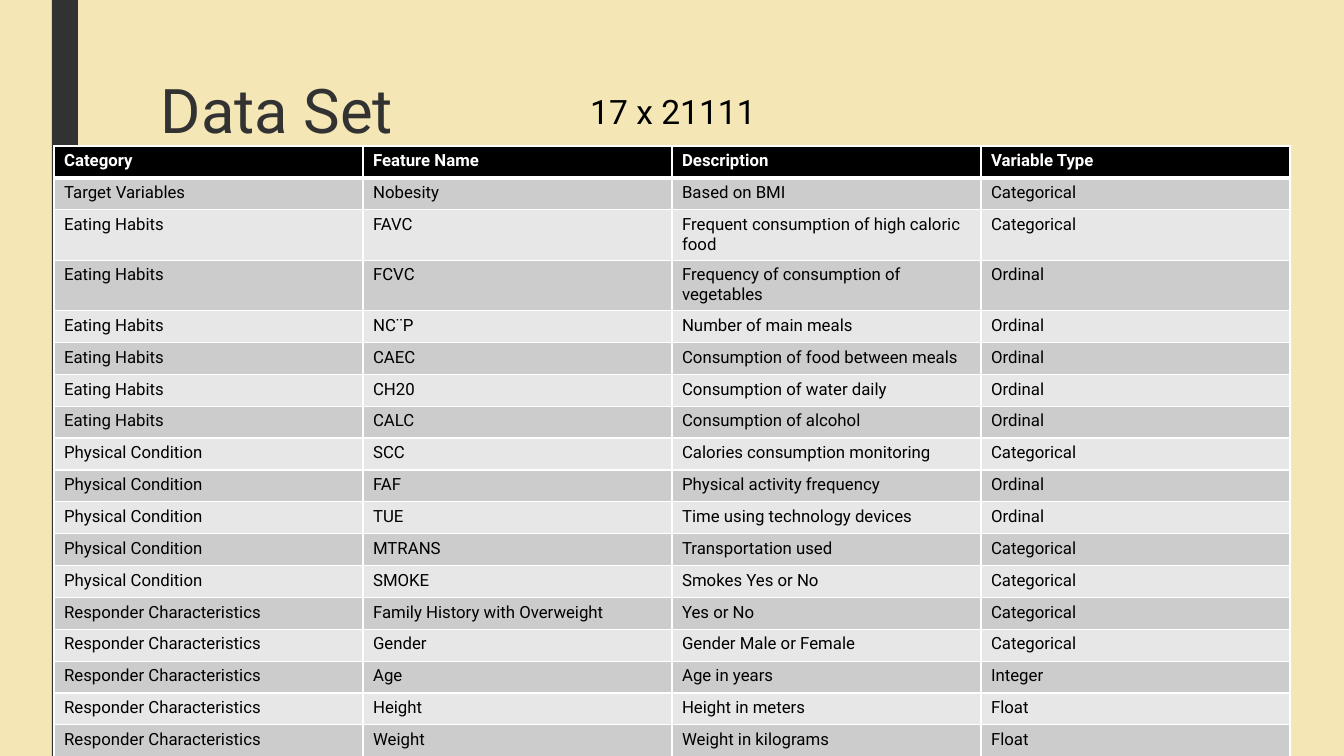
from lxml import etree
from pptx import Presentation
from pptx.dml.color import RGBColor
from pptx.enum.shapes import MSO_SHAPE
from pptx.enum.text import MSO_ANCHOR, PP_ALIGN
from pptx.oxml.ns import qn
from pptx.util import Pt

RECT = MSO_SHAPE.RECTANGLE
TOP = MSO_ANCHOR.TOP
LEFT, CENTER = PP_ALIGN.LEFT, PP_ALIGN.CENTER

SAND = RGBColor(0xF5, 0xE7, 0xB5)
CHARCOAL = RGBColor(0x32, 0x32, 0x32)
BLACK = RGBColor(0x00, 0x00, 0x00)
WHITE = RGBColor(0xFF, 0xFF, 0xFF)
BANDS = (RGBColor(0xCC, 0xCC, 0xCC), RGBColor(0xE7, 0xE7, 0xE7))

FONT = "Roboto"
SLIDE_W, SLIDE_H = 1344, 756
EMU_PER_INCH, PX_PER_INCH = 914400, 100.8
WRAPPED_ROW_H = 50

HEADER = ("Category", "Feature Name", "Description", "Variable Type")
FEATURES = {
    "Target Variables": [
        ("Nobesity", "Based on BMI", "Categorical"),
    ],
    "Eating Habits": [
        ("FAVC", "Frequent consumption of high caloric food", "Categorical"),
        ("FCVC", "Frequency of consumption of vegetables", "Ordinal"),
        ("NC¨P", "Number of main meals", "Ordinal"),
        ("CAEC", "Consumption of food between meals", "Ordinal"),
        ("CH20", "Consumption of water daily", "Ordinal"),
        ("CALC", "Consumption of alcohol", "Ordinal"),
    ],
    "Physical Condition": [
        ("SCC", "Calories consumption monitoring", "Categorical"),
        ("FAF", "Physical activity frequency", "Ordinal"),
        ("TUE", "Time using technology devices", "Ordinal"),
        ("MTRANS", "Transportation used", "Categorical"),
        ("SMOKE", "Smokes Yes or No", "Categorical"),
    ],
    "Responder Characteristics": [
        ("Family History with Overweight", "Yes or No", "Categorical"),
        ("Gender", "Gender Male or Female", "Categorical"),
        ("Age", "Age in years", "Integer"),
        ("Height", "Height in meters", "Float"),
        ("Weight", "Weight in kilograms", "Float"),
    ],
}
WRAPPED_FEATURES = ("FAVC", "FCVC")


def px(length):
    """Turn pixels into EMU."""
    return round(length * EMU_PER_INCH / PX_PER_INCH)


def write_text(tf, text, size=12, color=BLACK, bold=False, align=LEFT, spacing=None):
    """Write one formatted paragraph into a text frame."""
    tf.word_wrap = True
    p = tf.paragraphs[0]
    p.alignment = align
    if spacing:
        p.line_spacing = spacing
    r = p.add_run()
    r.text = text
    r.font.name = FONT
    r.font.size = Pt(size)
    r.font.bold = bold
    r.font.color.rgb = color


def add_text(slide, box, text, **fmt):
    """Add a top-anchored text box."""
    tf = slide.shapes.add_textbox(*map(px, box)).text_frame
    tf.vertical_anchor = TOP
    write_text(tf, text, **fmt)


def add_bar(slide, box):
    """Add the dark vertical bar."""
    sp = slide.shapes.add_shape(RECT, *map(px, box))
    sp.shadow.inherit = False
    sp.fill.solid()
    sp.fill.fore_color.rgb = CHARCOAL
    sp.line.fill.background()


def add_heading(slide, box):
    """Add the title and the data set dimensions."""
    x, y, w, h = box
    add_text(slide, box, "Data Set", size=44, color=CHARCOAL, spacing=0.89)
    add_text(slide, (x + 299, y + 10, 446, 50), "17 x 21111", size=24, align=CENTER)


def set_borders(cell, top, bottom):
    """Draw white cell borders with the given top and bottom widths."""
    tcPr = cell._tc.get_or_add_tcPr()
    widths = {"a:lnL": 1, "a:lnR": 1, "a:lnT": top, "a:lnB": bottom}
    for i, (tag, width) in enumerate(widths.items()):
        ln = etree.Element(qn(tag), w=str(Pt(width)))
        fill = etree.SubElement(ln, qn("a:solidFill"))
        etree.SubElement(fill, qn("a:srgbClr"), val=str(WHITE))
        tcPr.insert(i, ln)


def add_feature_table(slide, box):
    """Add the feature table with banded rows."""
    x, y, w, h = box
    rows = [HEADER] + [(category, *feature)
                       for category, features in FEATURES.items()
                       for feature in features]
    wrapped = len(WRAPPED_FEATURES)
    row_h = (h - wrapped * WRAPPED_ROW_H) / (len(rows) - wrapped)
    frame = slide.shapes.add_table(len(rows), len(HEADER), *map(px, box))
    table = frame.table
    for column in table.columns:
        column.width = px(w / len(HEADER))
    for i, values in enumerate(rows):
        is_header = i == 0
        is_wrapped = values[1] in WRAPPED_FEATURES
        table.rows[i].height = px(WRAPPED_ROW_H if is_wrapped else row_h)
        for j, value in enumerate(values):
            cell = table.cell(i, j)
            cell.fill.solid()
            cell.fill.fore_color.rgb = BLACK if is_header else BANDS[(i - 1) % 2]
            write_text(cell.text_frame, value, bold=is_header,
                       color=WHITE if is_header else BLACK)
            set_borders(cell, top=3 if i == 1 else 1, bottom=3 if is_header else 1)


def add_data_set_slide(prs):
    """Build the data set slide."""
    slide = prs.slides.add_slide(prs.slide_layouts[6])
    bg = slide.background.fill
    bg.solid()
    bg.fore_color.rgb = SAND
    add_bar(slide, (52, 0, 26, SLIDE_H))
    add_heading(slide, (151, 76, 1058, 163))
    add_feature_table(slide, (54, 146, 1236, SLIDE_H - 146))


def main():
    """Create and save the presentation."""
    prs = Presentation()
    prs.slide_width, prs.slide_height = px(SLIDE_W), px(SLIDE_H)
    add_data_set_slide(prs)
    prs.save("out.pptx")


if __name__ == "__main__":
    main()
